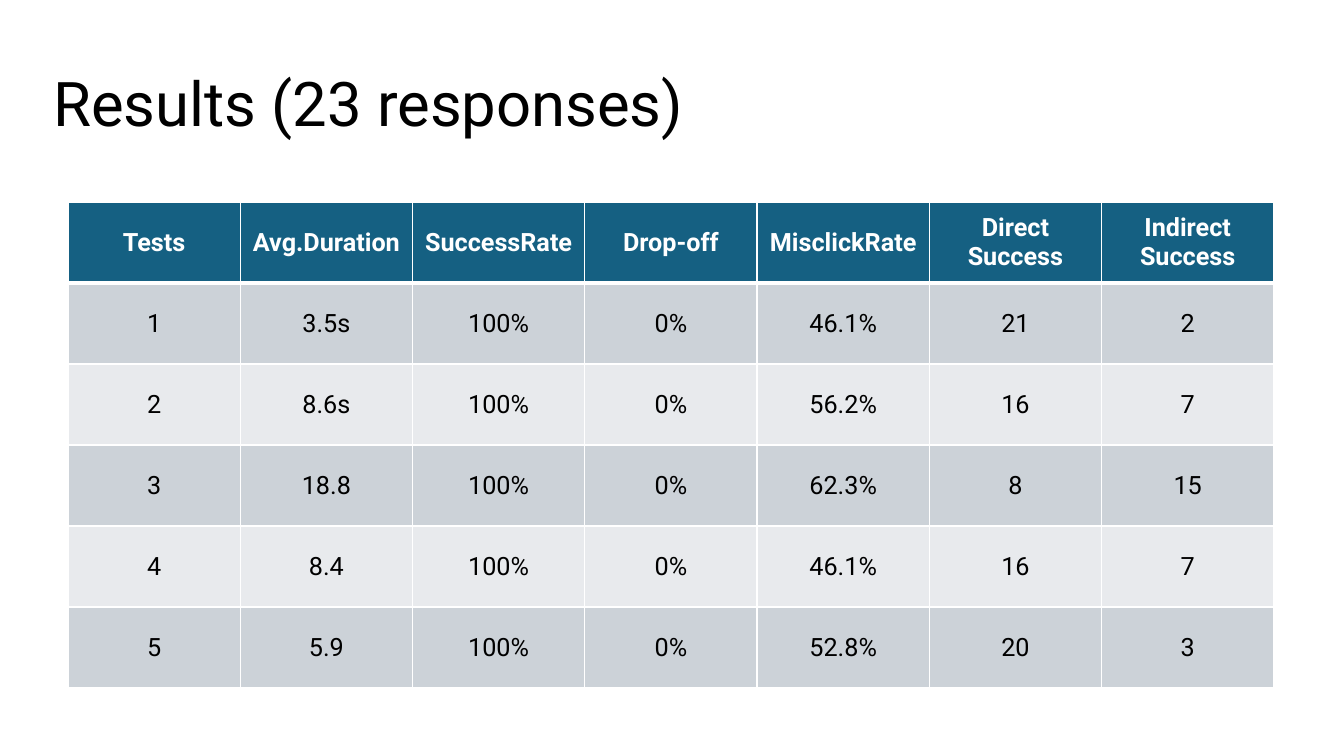
from lxml import etree
from pptx import Presentation
from pptx.dml.color import RGBColor
from pptx.enum.text import MSO_ANCHOR, MSO_AUTO_SIZE, PP_ALIGN
from pptx.oxml.ns import qn
from pptx.util import Pt

LEFT, CENTER = PP_ALIGN.LEFT, PP_ALIGN.CENTER
MIDDLE = MSO_ANCHOR.MIDDLE
NO_AUTOFIT = MSO_AUTO_SIZE.NONE

WHITE = RGBColor(0xFF, 0xFF, 0xFF)
BLACK = RGBColor(0x00, 0x00, 0x00)
HEADER_BLUE = RGBColor(0x15, 0x60, 0x82)
BAND_DARK = RGBColor(0xCC, 0xD2, 0xD8)
BAND_LIGHT = RGBColor(0xE8, 0xEA, 0xED)

FONT = "Roboto"
TITLE_ONLY_LAYOUT = 5
SLIDE_WIDTH, SLIDE_HEIGHT = 1344, 756
THIN, THICK = 1, 3

# "\n" starts a paragraph, "\v" breaks a line within one.
HEADERS = ["Tests", "Avg.Duration", "SuccessRate", "Drop-off",
           "MisclickRate", "Direct\nSuccess", "Indirect\vSuccess"]
RESULTS = [
    ["1", "3.5s", "100%", "0%", "46.1%", "21", "2"],
    ["2", "8.6s", "100%", "0%", "56.2%", "16", "7"],
    ["3", "18.8", "100%", "0%", "62.3%", "8", "15"],
    ["4", "8.4", "100%", "0%", "46.1%", "16", "7"],
    ["5", "5.9", "100%", "0%", "52.8%", "20", "3"],
]


def px(length):
    """Turn px into EMU at 100.8 px to the inch."""
    return round(length * 914400 / 100.8)


def write_text(text_frame, text, *, size, color, bold=False, align=LEFT,
               line_spacing=None):
    text_frame.text = text
    for paragraph in text_frame.paragraphs:
        paragraph.alignment = align
        paragraph.line_spacing = line_spacing
        for run in paragraph.runs:
            run.font.name = FONT
            run.font.size = Pt(size)
            run.font.bold = bold
            run.font.color.rgb = color


def set_borders(cell, color, **widths):
    """Draw cell borders; widths are points keyed by side: L, R, T, B."""
    properties = cell._tc.get_or_add_tcPr()
    for side, width in widths.items():
        line = etree.SubElement(properties, qn(f"a:ln{side}"), w=str(Pt(width)))
        fill = etree.SubElement(line, qn("a:solidFill"))
        etree.SubElement(fill, qn("a:srgbClr"), val=str(color))


class SlideBuilder:
    def __init__(self, presentation):
        layout = presentation.slide_layouts[TITLE_ONLY_LAYOUT]
        self.slide = presentation.slides.add_slide(layout)

    def title(self, text, left, top, width, height):
        shape = self.slide.shapes.title
        shape.left, shape.top = px(left), px(top)
        shape.width, shape.height = px(width), px(height)
        text_frame = shape.text_frame
        text_frame.word_wrap = True
        text_frame.auto_size = NO_AUTOFIT
        text_frame.vertical_anchor = MIDDLE
        write_text(text_frame, text, size=44, color=BLACK, line_spacing=0.9)

    def table(self, rows, left, top, width, row_height):
        """Add a table whose first row is the header and whose body is banded."""
        frame = self.slide.shapes.add_table(
            len(rows), len(rows[0]), px(left), px(top), px(width),
            px(row_height * len(rows)))
        table = frame.table
        for row_index, values in enumerate(rows):
            table.rows[row_index].height = px(row_height)
            for column_index, value in enumerate(values):
                self.table_cell(table.cell(row_index, column_index), value, row_index)

    def table_cell(self, cell, text, row_index):
        is_header = row_index == 0
        band = BAND_DARK if row_index % 2 else BAND_LIGHT
        set_borders(cell, WHITE, L=THIN, R=THIN,
                    T=THICK if row_index == 1 else THIN,
                    B=THICK if is_header else THIN)
        cell.fill.solid()
        cell.fill.fore_color.rgb = HEADER_BLUE if is_header else band
        cell.vertical_anchor = MIDDLE
        write_text(cell.text_frame, text, size=18, bold=is_header, align=CENTER,
                   color=WHITE if is_header else BLACK)


def main():
    presentation = Presentation()
    presentation.slide_width = px(SLIDE_WIDTH)
    presentation.slide_height = px(SLIDE_HEIGHT)
    builder = SlideBuilder(presentation)
    builder.title("Results (23 responses)", 43, 34, 1257, 146)
    builder.table([HEADERS] + RESULTS, 68, 202, 1206, 81)
    presentation.save("out.pptx")


if __name__ == "__main__":
    main()
